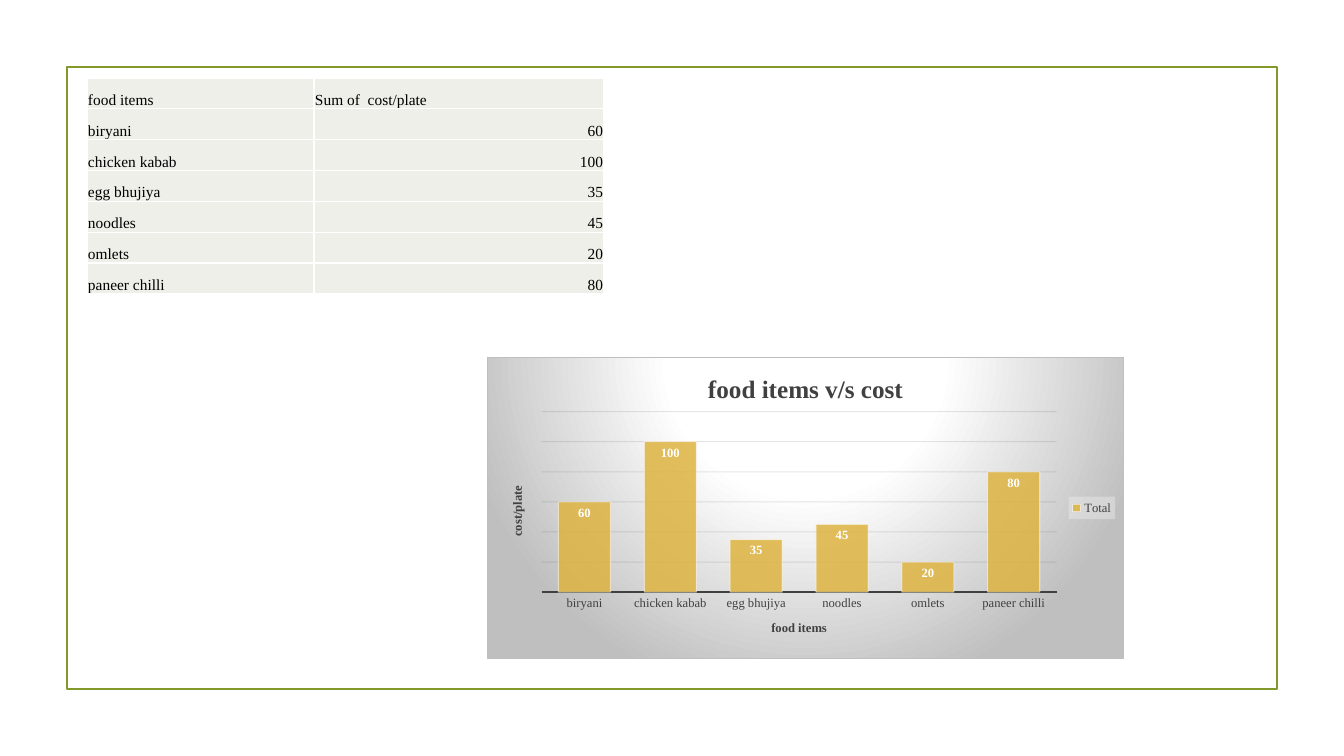
from lxml import etree
from pptx import Presentation, util as u
from pptx.chart.data import CategoryChartData
from pptx.dml.color import RGBColor
from pptx.enum import chart as ch, shapes, text
from pptx.oxml import parse_xml
from pptx.oxml.ns import nsdecls, qn

FONT = "Times New Roman"
COLORS = {"frame": "83992A", "cell": "EDEFE8", "white": "FFFFFF", "black": "000000",
          "bar": "DEB340", "dark": "404040", "grid": "0D0D0D", "gray": "BFBFBF",
          "legend": "F2F2F2"}
COSTS = {"biryani": 60, "chicken kabab": 100, "egg bhujiya": 35,
         "noodles": 45, "omlets": 20, "paneer chilli": 80}


def px(n):
    return u.Emu(round(n * 914400 / 100.8))


def rgb(name):
    return RGBColor.from_string(COLORS[name])


def style_font(font, size, color, bold=False):
    font.name, font.size, font.bold = FONT, u.Pt(size), bold
    font.color.rgb = rgb(color)


def style_line(line, color, width):
    line.color.rgb = rgb(color)
    line.width = u.Pt(width)


def set_alphas(element, *percents):
    """Apply opacities to the element's colours in document order."""
    for color, percent in zip(element.iter(qn("a:srgbClr")), percents):
        etree.SubElement(color, qn("a:alpha"), val=str(percent * 1000))


def add_frame(s, x, y, w, h):
    sp = s.shapes.add_shape(shapes.MSO_SHAPE.RECTANGLE, px(x), px(y), px(w), px(h))
    sp.shadow.inherit = False
    sp.fill.background()
    style_line(sp.line, "frame", 1.25)


def style_cell(cell, value):
    tc_pr = cell._tc.get_or_add_tcPr()
    for side in ("lnL", "lnR", "lnT", "lnB"):
        tc_pr.append(parse_xml(
            f'<a:{side} {nsdecls("a")} w="12700"><a:solidFill>'
            f'<a:srgbClr val="{COLORS["white"]}"/></a:solidFill></a:{side}>'))
    cell.fill.solid()
    cell.fill.fore_color.rgb = rgb("cell")
    cell.margin_left = cell.margin_right = cell.margin_top = px(1)
    cell.margin_bottom = 0
    cell.vertical_anchor = text.MSO_ANCHOR.BOTTOM
    p = cell.text_frame.paragraphs[0]
    p.text = str(value)
    p.alignment = text.PP_ALIGN.RIGHT if isinstance(value, int) else text.PP_ALIGN.LEFT
    style_font(p.runs[0].font, 11, "black")


def add_cost_table(s, x, y, w, h):
    rows = [("food items", "Sum of  cost/plate"), *COSTS.items()]
    table = s.shapes.add_table(len(rows), 2, px(x), px(y), px(w), px(h)).table
    first = round(w * 0.44)
    for column, width in zip(table.columns, (first, w - first)):
        column.width = px(width)
    for i, row in enumerate(rows):
        table.rows[i].height = px(h / len(rows))
        for j, value in enumerate(row):
            style_cell(table.cell(i, j), value)


def set_title(owner, words, size):
    """Title a chart or one of its axes."""
    tf = (owner.chart_title if hasattr(owner, "chart_title") else owner.axis_title).text_frame
    tf.text = words
    style_font(tf.paragraphs[0].runs[0].font, size, "dark", True)
    return tf


def style_background(chart):
    chart._chartSpace.find(qn("c:chart")).addnext(parse_xml(
        f'<c:spPr {nsdecls("c", "a")}><a:gradFill><a:gsLst>'
        f'<a:gs pos="0"><a:srgbClr val="{COLORS["white"]}"/></a:gs>'
        f'<a:gs pos="39000"><a:srgbClr val="{COLORS["white"]}"/></a:gs>'
        f'<a:gs pos="100000"><a:srgbClr val="{COLORS["gray"]}"/></a:gs></a:gsLst>'
        '<a:path path="circle"><a:fillToRect l="50000" t="-80000" r="50000" b="180000"/>'
        '</a:path></a:gradFill><a:ln w="9525"><a:solidFill>'
        f'<a:srgbClr val="{COLORS["gray"]}"/></a:solidFill></a:ln></c:spPr>'))


def place_plot(chart, x, y, w, h):
    """Fix the inner plot area, in fractions of the chart."""
    area = chart._chartSpace.find(".//" + qn("c:plotArea"))
    for old in area.findall(qn("c:layout")):
        area.remove(old)
    area.insert(0, parse_xml(
        f'<c:layout {nsdecls("c")}><c:manualLayout><c:layoutTarget val="inner"/>'
        '<c:xMode val="edge"/><c:yMode val="edge"/>'
        f'<c:x val="{x}"/><c:y val="{y}"/><c:w val="{w}"/><c:h val="{h}"/>'
        '</c:manualLayout></c:layout>'))


def style_axes(chart):
    cat, val = chart.category_axis, chart.value_axis
    set_title(cat, "food items", 9)
    cat.major_tick_mark = ch.XL_TICK_MARK.NONE
    style_font(cat.tick_labels.font, 9, "dark")
    style_line(cat.format.line, "dark", 1.5)
    body = set_title(val, "cost/plate", 9)._txBody.bodyPr
    body.set("rot", "-5400000")
    body.set("vert", "horz")
    val.minimum_scale, val.maximum_scale, val.major_unit = 0, 120, 20
    val.visible = False
    val.has_major_gridlines = True
    style_line(val.major_gridlines.format.line, "grid", 0.75)
    set_alphas(chart._chartSpace.find(".//" + qn("c:majorGridlines")), 10)


def style_bars(plot):
    plot.gap_width = 65
    plot.vary_by_categories = False
    bars = plot.series[0]
    bars.format.fill.solid()
    bars.format.fill.fore_color.rgb = rgb("bar")
    style_line(bars.format.line, "white", 0.75)
    set_alphas(bars._element.find(qn("c:spPr")), 85, 50)
    labels = bars.data_labels
    labels.show_value = True
    labels.position = ch.XL_LABEL_POSITION.INSIDE_END
    style_font(labels.font, 9, "white", True)


def style_legend(chart):
    chart.has_legend = True
    legend = chart.legend
    legend.position = ch.XL_LEGEND_POSITION.RIGHT
    legend.include_in_layout = False
    style_font(legend.font, 9, "dark")
    sp_pr = parse_xml(
        f'<c:spPr {nsdecls("c", "a")}><a:solidFill>'
        f'<a:srgbClr val="{COLORS["legend"]}"/></a:solidFill></c:spPr>')
    set_alphas(sp_pr, 39)
    legend._element.find(qn("c:txPr")).addprevious(sp_pr)


def add_cost_chart(s, x, y, w, h):
    data = CategoryChartData()
    data.categories = list(COSTS)
    data.add_series("Total", list(COSTS.values()))
    chart = s.shapes.add_chart(ch.XL_CHART_TYPE.COLUMN_CLUSTERED,
                               px(x), px(y), px(w), px(h), data).chart
    style_font(chart.font, 10, "black")
    set_title(chart, "food items v/s cost", 18)
    chart.chart_title.include_in_layout = False
    style_background(chart)
    place_plot(chart, 0.085, 0.18, 0.81, 0.6)
    style_axes(chart)
    style_bars(chart.plots[0])
    style_legend(chart)


def main():
    prs = Presentation()
    prs.slide_width, prs.slide_height = px(1344), px(756)
    s = prs.slides.add_slide(prs.slide_layouts[6])
    add_frame(s, 67, 67, 1210, 622)
    add_cost_chart(s, 487, 357, 637, 302)
    add_cost_table(s, 87, 78, 517, 216)
    prs.save("out.pptx")


if __name__ == "__main__":
    main()
